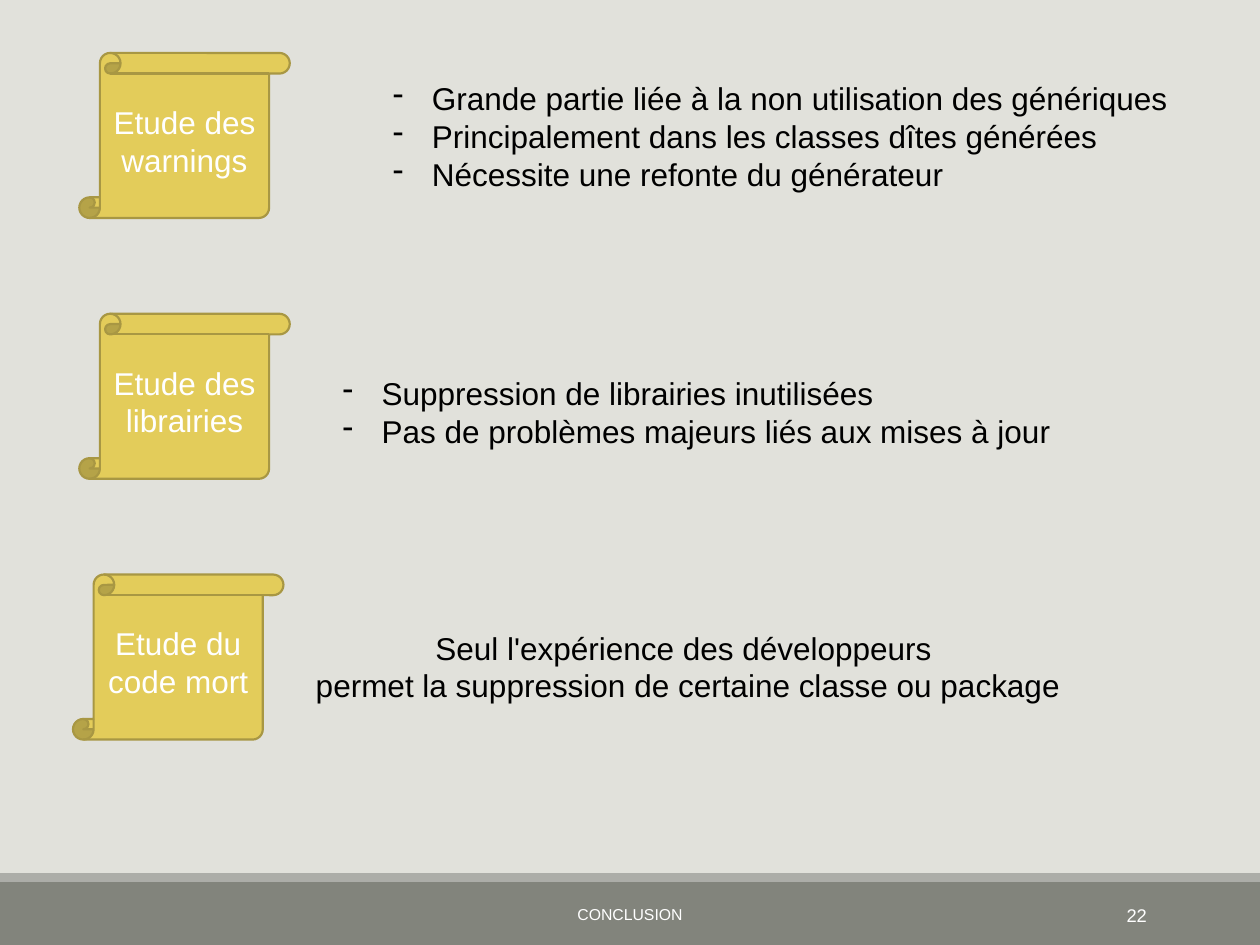
from lxml import etree
from pptx import Presentation
from pptx import util as u
from pptx.dml.color import RGBColor
from pptx.enum import shapes, text
from pptx.oxml import ns

COLORS = {
    "background": "E1E1DB",
    "footer": "82847C",
    "stripe": "ACADA8",
    "scroll": "E3CC5A",
    "outline": "A89743",
    "light": "FFFFFF",
    "dark": "000000",
}


class SlideBuilder:
    font = "Arial"
    body_size = 18
    indent = u.Inches(0.31)

    def __init__(self, deck):
        self.page = deck.slides.add_slide(deck.slide_layouts[6])
        fill = self.page.background.fill
        fill.solid()
        fill.fore_color.rgb = self.color("background")

    def color(self, name):
        return RGBColor.from_string(COLORS[name])

    def shape(self, kind, place, fill):
        shape = self.page.shapes.add_shape(kind, *map(u.Inches, place))
        shape.shadow.inherit = False
        shape.fill.solid()
        shape.fill.fore_color.rgb = self.color(fill)
        shape.line.fill.background()
        return shape

    def band(self, top, height, fill):
        self.shape(shapes.MSO_SHAPE.RECTANGLE, (0, top, 10, height), fill)

    def add_lines(self, frame, lines, color, size, align):
        for index, line in enumerate(lines):
            para = frame.paragraphs[0] if index == 0 else frame.add_paragraph()
            para.alignment = align
            span = para.add_run()
            span.text = line
            span.font.name = self.font
            span.font.size = u.Pt(size)
            span.font.color.rgb = self.color(color)

    def scroll(self, left, top, label):
        place = (left, top, 1.67, 1.31)
        scroll = self.shape(shapes.MSO_SHAPE.VERTICAL_SCROLL, place, "scroll")
        scroll.line.color.rgb = self.color("outline")
        scroll.line.width = u.Pt(1.25)
        frame = scroll.text_frame
        frame.word_wrap = True
        frame.vertical_anchor = text.MSO_ANCHOR.MIDDLE
        self.add_lines(frame, [label], "light", self.body_size, text.PP_ALIGN.CENTER)

    def text_box(self, place, lines, align, color="dark", size=body_size):
        box = self.page.shapes.add_textbox(*map(u.Inches, place))
        self.add_lines(box.text_frame, lines, color, size, align)
        return box.text_frame

    def note(self, place, lines, align=text.PP_ALIGN.LEFT):
        frame = self.text_box(place, lines, align)
        frame.word_wrap = False
        frame.auto_size = text.MSO_AUTO_SIZE.SHAPE_TO_FIT_TEXT
        return frame

    def bullets(self, place, lines):
        for para in self.note(place, lines).paragraphs:
            props = para._p.get_or_add_pPr()
            props.set("marL", str(self.indent))
            props.set("indent", str(-self.indent))
            etree.SubElement(props, ns.qn("a:buFontTx"))
            etree.SubElement(props, ns.qn("a:buChar")).set("char", "-")

    def footer_text(self, left, width, label, size, align):
        place = (left, 7.06, width, 0.4)
        frame = self.text_box(place, [label], align, "light", size)
        frame.word_wrap = True
        frame.vertical_anchor = text.MSO_ANCHOR.MIDDLE


def main():
    deck = Presentation()
    deck.slide_width = u.Inches(10)
    deck.slide_height = u.Inches(7.5)
    slide = SlideBuilder(deck)

    slide.band(7, 0.5, "footer")
    slide.band(6.93, 0.07, "stripe")
    slide.footer_text(3.02, 3.96, "CONCLUSION", 9, text.PP_ALIGN.CENTER)
    slide.footer_text(8.12, 1.08, "22", 10.5, text.PP_ALIGN.RIGHT)

    topics = [
        (0.63, "Etude des warnings"),
        (0.63, "Etude des librairies"),
        (0.58, "Etude du code mort"),
    ]
    for row, (left, label) in enumerate(topics):
        slide.scroll(left, 0.42 + row * 2.07, label)

    slide.bullets((3.02, 0.58, 6.41, 1.01), [
        "Grande partie liée à la non utilisation des génériques",
        "Principalement dans les classes dîtes générées",
        "Nécessite une refonte du générateur",
    ])
    slide.bullets((2.62, 2.92, 6.02, 0.71), [
        "Suppression de librairies inutilisées",
        "Pas de problèmes majeurs liés aux mises à jour",
    ])
    slide.note((2.31, 4.94, 6.23, 0.71), [
        "Seul l'expérience des développeurs",
        " permet la suppression de certaine classe ou package",
    ], text.PP_ALIGN.CENTER)

    deck.save("out.pptx")


if __name__ == "__main__":
    main()
